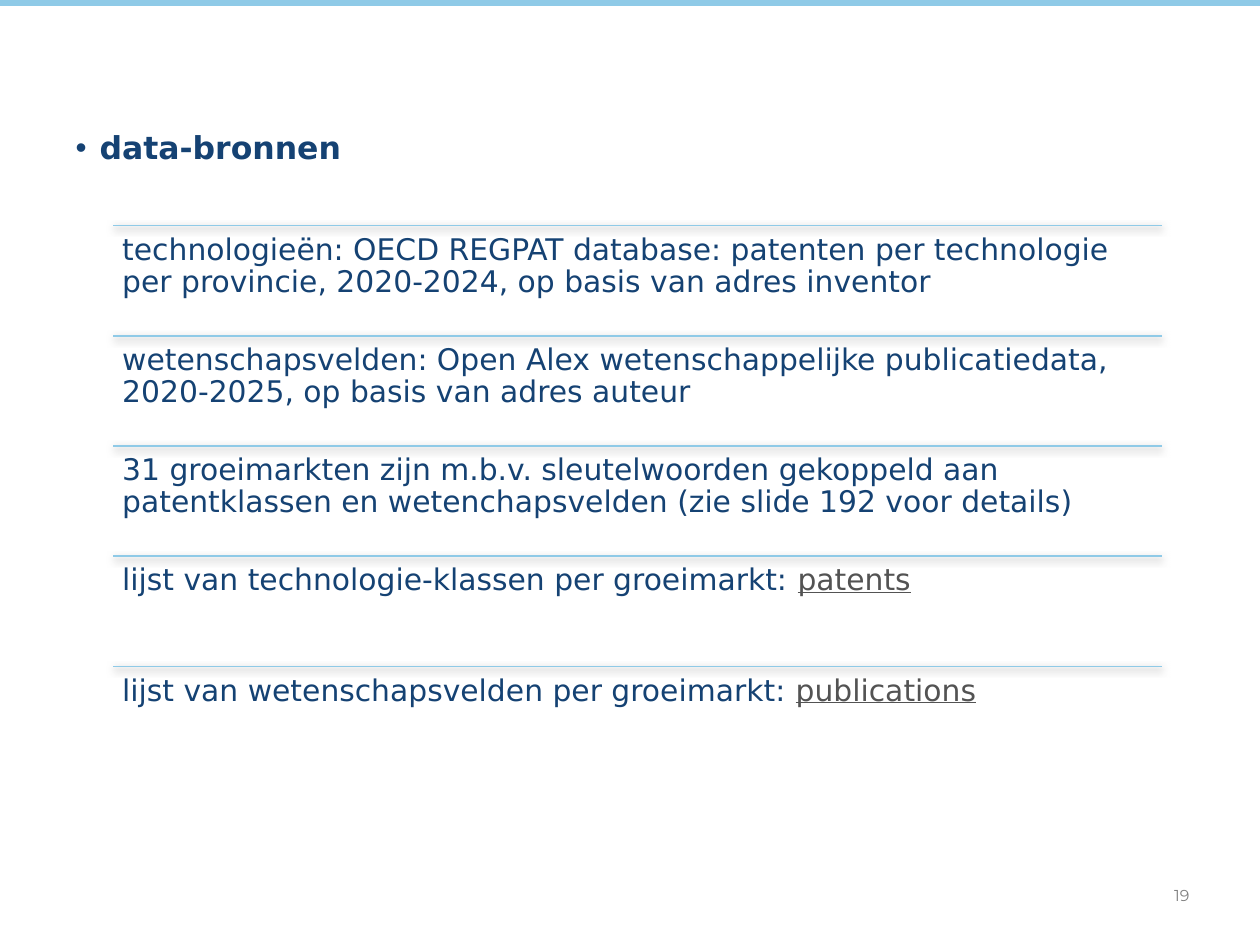
from dataclasses import dataclass

from lxml import etree
from pptx import Presentation
from pptx.dml.color import RGBColor
from pptx.enum.shapes import MSO_CONNECTOR, MSO_SHAPE
from pptx.enum.text import MSO_ANCHOR, MSO_AUTO_SIZE, PP_ALIGN
from pptx.oxml import parse_xml
from pptx.oxml.ns import nsdecls, qn
from pptx.util import Inches, Pt

STRAIGHT = MSO_CONNECTOR.STRAIGHT
RECTANGLE = MSO_SHAPE.RECTANGLE
TOP, MIDDLE, BOTTOM = MSO_ANCHOR.TOP, MSO_ANCHOR.MIDDLE, MSO_ANCHOR.BOTTOM
NO_FIT = MSO_AUTO_SIZE.NONE
LEFT = PP_ALIGN.LEFT


@dataclass(frozen=True)
class Theme:
    navy: RGBColor = RGBColor.from_string("154273")
    sky: RGBColor = RGBColor.from_string("8FCAE7")
    link: RGBColor = RGBColor.from_string("535353")
    grey: RGBColor = RGBColor.from_string("7F7F7F")
    font: str = "DejaVu Sans"
    number_font: str = "Montserrat"
    heading: int = 18
    body: int = 17
    number: int = 9


theme = Theme()


def add_text(p, text, size=theme.body, color=theme.navy, font=theme.font,
             bold=False, underline=False):
    r = p.add_run()
    r.text = text
    r.font.name = font
    r.font.size = Pt(size)
    r.font.bold = bold
    r.font.underline = underline
    r.font.color.rgb = color


def set_frame(tf, anchor, inset_x, inset_y):
    tf.word_wrap = True
    tf.auto_size = NO_FIT
    tf.vertical_anchor = anchor
    tf.margin_left = tf.margin_right = Inches(inset_x)
    tf.margin_top = tf.margin_bottom = Inches(inset_y)
    p = tf.paragraphs[0]
    p.alignment = LEFT
    p.space_before = Pt(0)
    return p


prs = Presentation()
prs.slide_width, prs.slide_height = Inches(10), Inches(7.5)
s = prs.slides.add_slide(prs.slide_layouts[1])
title = s.shapes.title
title.element.getparent().remove(title.element)

bar = s.shapes.add_shape(RECTANGLE, 0, 0, prs.slide_width, Inches(0.04))
bar.shadow.inherit = False
bar.fill.solid()
bar.fill.fore_color.rgb = theme.sky
bar.line.color.rgb = theme.sky
bar.line.width = Pt(0.75)

heading = s.placeholders[1]
heading.left, heading.top = Inches(0.5), Inches(0.42)
heading.width, heading.height = Inches(9.01), Inches(0.95)
p = set_frame(heading.text_frame, BOTTOM, 0.1, 0.05)
p.line_spacing = 0.9
pPr = p._p.get_or_add_pPr()
pPr.set("marL", str(Inches(0.19)))
pPr.set("indent", str(-Inches(0.19)))
etree.SubElement(pPr, qn("a:buFont")).set("typeface", "Arial")
etree.SubElement(pPr, qn("a:buChar")).set("char", "•")
add_text(p, "data-bronnen", size=theme.heading, bold=True)

sources = [
    ("technologieën: OECD REGPAT database: patenten per technologie per provincie, "
     "2020-2024, op basis van adres inventor", ""),
    ("wetenschapsvelden: Open Alex wetenschappelijke publicatiedata, 2020-2025, "
     "op basis van adres auteur", ""),
    ("31 groeimarkten zijn m.b.v. sleutelwoorden gekoppeld aan patentklassen en "
     "wetenchapsvelden (zie slide 192 voor details)", ""),
    ("lijst van technologie-klassen per groeimarkt: ", "patents"),
    ("lijst van wetenschapsvelden per groeimarkt: ", "publications"),
]
left, width = Inches(0.9), Inches(8.32)
first_top, last_top = Inches(1.79), Inches(5.29)
row_height = (last_top - first_top) // (len(sources) - 1)
shadow_xml = (
    f'<a:effectLst {nsdecls("a")}>'
    f'<a:outerShdw blurRad="{Pt(4.5)}" dist="{Pt(1.5)}" dir="5400000" '
    'algn="ctr" rotWithShape="0">'
    '<a:srgbClr val="000000"><a:alpha val="63000"/></a:srgbClr>'
    '</a:outerShdw></a:effectLst>'
)

for i, (text, link) in enumerate(sources):
    top = first_top + i * row_height
    rule = s.shapes.add_connector(STRAIGHT, left, top, left + width, top)
    rule.line.color.rgb = theme.sky
    rule.line.width = Pt(1)
    rule._element.spPr.append(parse_xml(shadow_xml))

    sp = s.shapes.add_textbox(left, top, width, row_height)
    p = set_frame(sp.text_frame, TOP, 0.07, 0.07)
    p.line_spacing = 0.9
    p.space_after = Pt(6)
    add_text(p, text)
    if link:
        add_text(p, link, color=theme.link, underline=True)

number = s.shapes.add_textbox(Inches(9.22), Inches(6.9), Inches(0.78), Inches(0.41))
p = set_frame(number.text_frame, MIDDLE, 0.1, 0.05)
add_text(p, "19", size=theme.number, color=theme.grey, font=theme.number_font)

prs.save("out.pptx")
